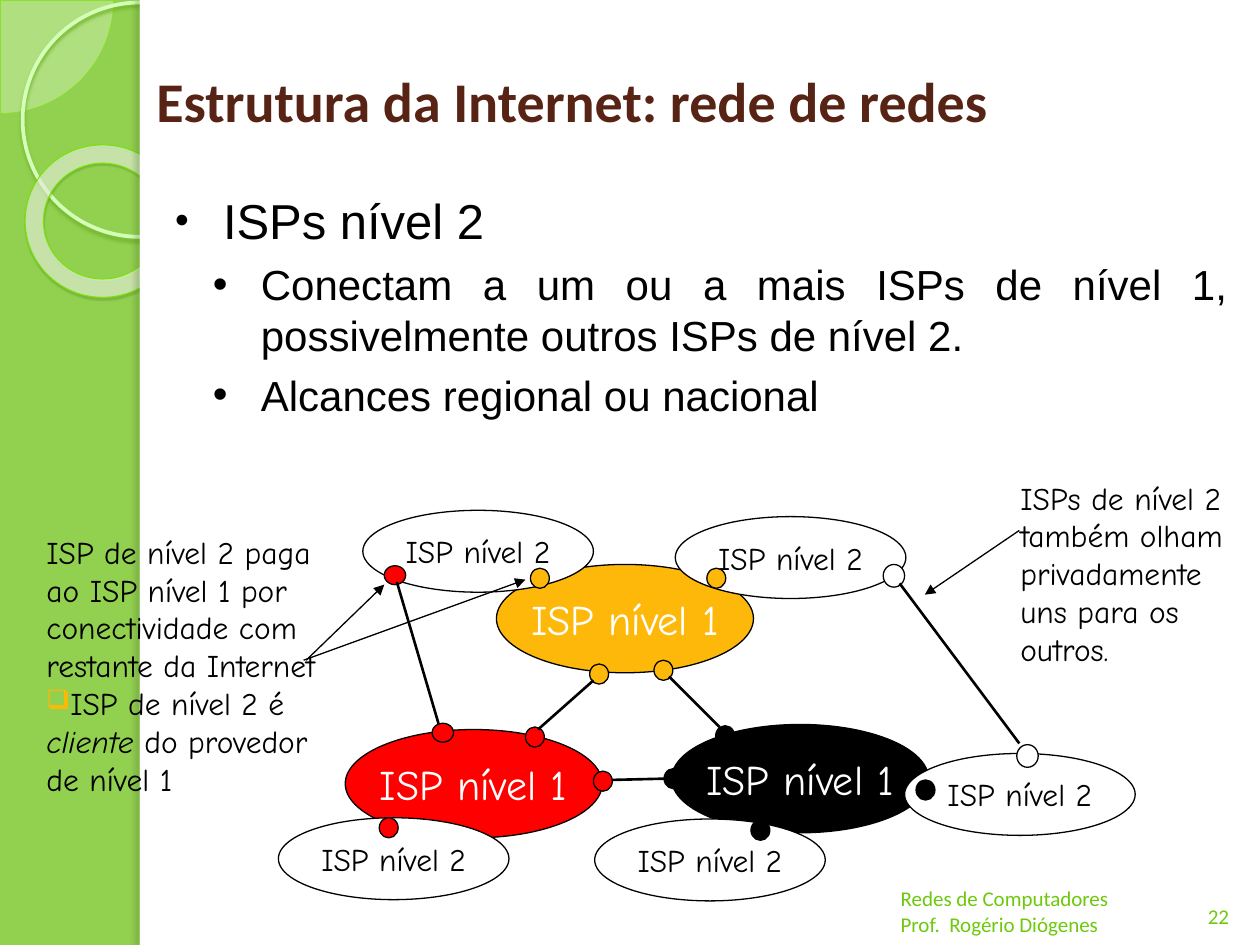
from lxml import etree
from pptx import Presentation
from pptx.dml.color import RGBColor
from pptx.enum.shapes import MSO_CONNECTOR, MSO_SHAPE
from pptx.enum.text import MSO_ANCHOR, PP_ALIGN
from pptx.oxml.ns import qn
from pptx.util import Inches, Pt

ELLIPSE, RECTANGLE = MSO_SHAPE.OVAL, MSO_SHAPE.RECTANGLE
PIE, DONUT = MSO_SHAPE.PIE, MSO_SHAPE.DONUT
STRAIGHT = MSO_CONNECTOR.STRAIGHT
LEFT, CENTER, JUSTIFY = PP_ALIGN.LEFT, PP_ALIGN.CENTER, PP_ALIGN.JUSTIFY
MIDDLE, TOP, BOTTOM = MSO_ANCHOR.MIDDLE, MSO_ANCHOR.TOP, MSO_ANCHOR.BOTTOM

# The slide is a grid of 1000 columns by 750 rows
CELL = Inches(0.01)
COLUMNS, ROWS = 1000, 750

BLACK, WHITE, RED, AMBER = "000000", "FFFFFF", "FF0000", "FEB80A"
GREEN, FOOTER_GREEN, BROWN = "92D050", "6DC90C", "572314"
HAND = "Comic Neue"
TIER1_SIZE, TIER2_SIZE = (204, 86), (183, 65)
DOT, WIDE_DOT, PEER_DOT = (15, 16), (17, 15), (17, 18)


def color(value):
    return RGBColor.from_string(value)


def cells(*counts):
    return [count * CELL for count in counts]


def add_xml(parent, tag, **attributes):
    return etree.SubElement(parent, qn(tag), attributes)


def style_font(font, name, size, value, bold=False):
    font.name, font.size, font.bold = name, Pt(size), bold
    font.color.rgb = color(value)


def set_opacity(shape, percent):
    fill = shape._element.spPr.find(qn("a:solidFill"))
    add_xml(fill[0], "a:alpha", val=str(percent * 1000))


def add_shadow(shape, value, percent, blur, distance, angle):
    effects = shape._element.spPr.find(qn("a:effectLst"))
    shadow = add_xml(effects, "a:outerShdw", blurRad=str(Pt(blur)), dist=str(Pt(distance)),
                     dir=str(angle * 60000), algn="tl", rotWithShape="0")
    tint = add_xml(shadow, "a:srgbClr", val=value)
    add_xml(tint, "a:alpha", val=str(percent * 1000))


def add_figure(slide, kind, box, fill=None, line=None, width=0.75):
    shape = slide.shapes.add_shape(kind, *cells(*box))
    shape.shadow.inherit = False
    if fill:
        shape.fill.solid()
        shape.fill.fore_color.rgb = color(fill)
    else:
        shape.fill.background()
    if line:
        shape.line.color.rgb = color(line)
        shape.line.width = Pt(width)
    else:
        shape.line.fill.background()
    return shape


def add_cloud(slide, position, size, label, fill, text_color, text_size):
    shape = add_figure(slide, ELLIPSE, (*position, *size), fill, BLACK)
    frame = shape.text_frame
    frame.word_wrap, frame.vertical_anchor = False, MIDDLE
    paragraph = frame.paragraphs[0]
    paragraph.text, paragraph.alignment = label, CENTER
    style_font(paragraph.font, HAND, text_size, text_color)


def add_dot(slide, left, top, fill, size=DOT):
    add_figure(slide, ELLIPSE, (left, top, *size), fill, BLACK)


def add_link(slide, ends, width=1.5, arrow=False):
    link = slide.shapes.add_connector(STRAIGHT, *cells(*ends))
    link.line.color.rgb = color(BLACK)
    link.line.width = Pt(width)
    if arrow:
        add_xml(link.line._get_or_add_ln(), "a:tailEnd", type="triangle")
    add_xml(link._element.spPr, "a:effectLst")


def set_bullet(paragraph, character, value, percent, margin=0, indent=0):
    properties = paragraph._p.get_or_add_pPr()
    properties.set("marL", str(margin * CELL))
    properties.set("indent", str(indent * CELL))
    add_xml(add_xml(properties, "a:buClr"), "a:srgbClr", val=value)
    add_xml(properties, "a:buSzPct", val=str(percent * 1000))
    add_xml(properties, "a:buChar", char=character)


def add_note(slide, box, paragraphs, font=HAND, size=18, value=BLACK,
             alignment=LEFT, anchor=TOP):
    """Each paragraph is a list of (text, italic) runs, with an optional bullet."""
    frame = slide.shapes.add_textbox(*cells(*box)).text_frame
    frame.word_wrap, frame.vertical_anchor = True, anchor
    for index, (runs, bullet) in enumerate(paragraphs):
        paragraph = frame.add_paragraph() if index else frame.paragraphs[0]
        paragraph.alignment = alignment
        if bullet:
            set_bullet(paragraph, bullet, AMBER, 85)
        style_font(paragraph.font, font, size, value)
        for text, italic in runs:
            run = paragraph.add_run()
            run.text = text
            if italic:
                run.font.italic = True


def plain(text):
    return [(text, False)], None


def place(shape, box):
    shape.left, shape.top, shape.width, shape.height = cells(*box)


def add_backdrop(slide):
    slide.background.fill.solid()
    slide.background.fill.fore_color.rgb = color(GREEN)
    pie = add_figure(slide, PIE, (-89, -89, 179, 179), "EEFFE4", "7FE90E", 0.25)
    pie.adjustments[0], pie.adjustments[1] = 0, 54
    set_opacity(pie, 33)
    ring = add_figure(slide, ELLIPSE, (18, 2, 186, 186), None, "D3FFB6", 2.15)
    add_shadow(ring, "6DB224", 85, 2, 2, 90)
    donut = add_figure(slide, DONUT, (20, 115, 123, 121), "FAFFF6", "77E403", 0.58)
    donut.adjustments[0] = 0.12
    set_opacity(donut, 58)
    add_shadow(donut, "366406", 35, 1, 1.2, 75)
    edge = add_figure(slide, RECTANGLE, (111, 0, 8, ROWS), WHITE)
    add_shadow(edge, "496A25", 25, 3, 3, 180)
    add_figure(slide, RECTANGLE, (111, 0, COLUMNS - 111, ROWS), WHITE)


def fill_title(title):
    place(title, (114, 17, 870, 125))
    title.text_frame.vertical_anchor = MIDDLE
    paragraph = title.text_frame.paragraphs[0]
    paragraph.text, paragraph.alignment = "Estrutura da Internet: rede de redes", LEFT
    style_font(paragraph.font, "Calibri", 32, BROWN, True)


def fill_body(body):
    place(body, (129, 146, 855, 544))
    items = [
        ("ISPs nível 2", 0),
        ("Conectam a um ou a mais ISPs de nível 1, possivelmente outros ISPs de nível 2.", 1),
        ("Alcances regional ou nacional", 1),
    ]
    for index, (text, level) in enumerate(items):
        paragraph = body.text_frame.add_paragraph() if index else body.text_frame.paragraphs[0]
        paragraph.text, paragraph.level, paragraph.alignment = text, level, JUSTIFY
        paragraph.space_before = Pt(6 - level / 2)
        set_bullet(paragraph, "•", BLACK, 100 if level else 80, 38 + 30 * level, -38)
        style_font(paragraph.font, "Arial", 28 - 4 * level, BLACK)


def add_network(slide):
    # Tier 1 providers and the links between them
    for left, top, fill in [(274, 579, RED), (394, 448, AMBER), (533, 575, BLACK)]:
        add_cloud(slide, (left, top), TIER1_SIZE, "ISP nível 1", fill, WHITE, 24)
    for left, top, fill in [(568, 576, BLACK), (519, 524, AMBER), (468, 527, AMBER),
                            (417, 577, RED), (471, 612, RED), (527, 610, BLACK)]:
        add_dot(slide, left, top, fill)
    for ends in [(486, 619, 527, 618), (531, 537, 571, 577), (427, 579, 471, 540)]:
        add_link(slide, ends)

    # Tier 2 providers, each with its connection point
    for left, top, dot_left, dot_top, fill in [
            (536, 410, 561, 451, AMBER), (288, 405, 421, 451, AMBER),
            (221, 649, 301, 649, RED), (472, 650, 596, 651, BLACK),
            (718, 598, 727, 619, BLACK)]:
        add_cloud(slide, (left, top), TIER2_SIZE, "ISP nível 2", WHITE, BLACK, 18)
        add_dot(slide, dot_left, dot_top, fill)

    # Customer link and private peering link
    add_dot(slide, 305, 449, RED, WIDE_DOT)
    add_link(slide, (315, 462, 350, 581))
    add_dot(slide, 343, 574, RED, WIDE_DOT)
    add_dot(slide, 701, 448, WHITE, PEER_DOT)
    add_dot(slide, 807, 591, WHITE, PEER_DOT)
    add_link(slide, (714, 463, 809, 590))


def add_notes_and_arrows(slide):
    add_note(slide, (27, 418, 253, 250), [
        plain("ISP de nível 2 paga ao ISP nível 1 por conectividade com restante da Internet"),
        ([("ISP de nível 2 é ", False), ("cliente ", True), ("do provedor de nível 1", False)], "❑"),
    ])
    add_note(slide, (800, 375, 197, 160), [
        plain("ISPs de nível 2 também olham privadamente uns para os outros.")])
    for ends in [(241, 524, 417, 460), (243, 524, 305, 464), (809, 421, 734, 472)]:
        add_link(slide, ends, 0.75, arrow=True)


def add_footer(slide):
    add_note(slide, (942, 690, 50, 52), [plain("22")],
             "Calibri", 12, FOOTER_GREEN, CENTER, BOTTOM)
    add_note(slide, (705, 696, 276, 52),
             [plain("Redes de Computadores"), plain("Prof.  Rogério Diógenes")],
             "Calibri", 12, FOOTER_GREEN, LEFT, BOTTOM)


def main():
    presentation = Presentation()
    presentation.slide_width, presentation.slide_height = cells(COLUMNS, ROWS)
    slide = presentation.slides.add_slide(presentation.slide_layouts[1])
    title, body = slide.placeholders
    add_backdrop(slide)
    # Bring the placeholders in front of the backdrop
    for placeholder in (body, title):
        slide.shapes._spTree.append(placeholder._element)
    fill_title(title)
    fill_body(body)
    add_network(slide)
    add_notes_and_arrows(slide)
    add_footer(slide)
    presentation.save("out.pptx")


if __name__ == "__main__":
    main()
